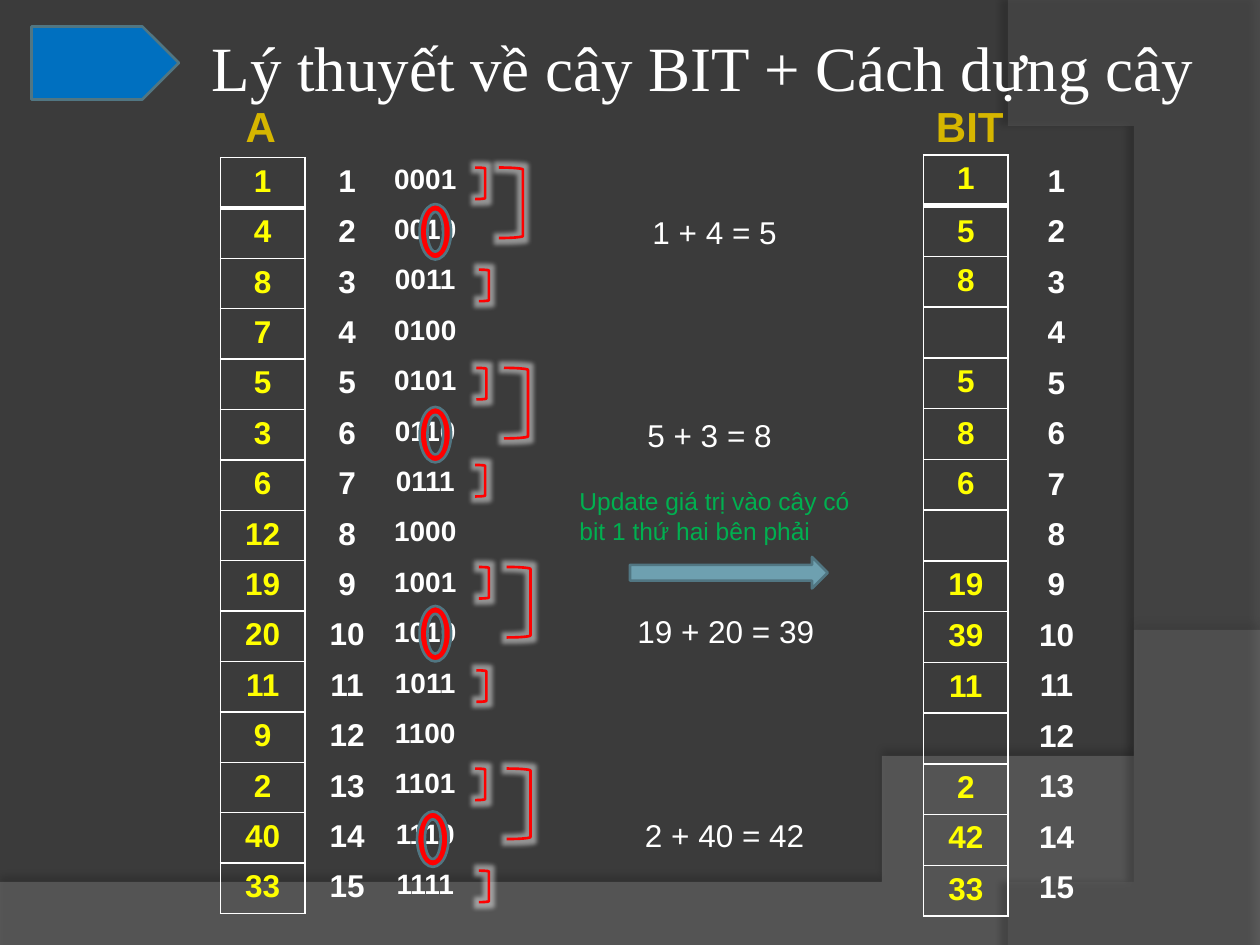
import pptx
import pptx.util
import pptx.oxml
from pptx.dml.color import RGBColor
from pptx.enum.shapes import MSO_SHAPE
from pptx.enum.text import MSO_ANCHOR, PP_ALIGN
from pptx.oxml.ns import qn
from lxml import etree

Inches, Pt = pptx.util.Inches, pptx.util.Pt

# Content
TITLE = "Lý thuyết về cây BIT + Cách dựng cây"
A = [1, 4, 8, 7, 5, 3, 6, 12, 19, 20, 11, 9, 2, 40, 33]
N = len(A)
INDEXES = list(range(1, N + 1))
BINARY = [f"{i:04b}" for i in INDEXES]
BIT_ODD = [a if i % 2 else "" for i, a in zip(INDEXES, A)]
BIT_PAIRS = [A[i - 2] + A[i - 1] if i % 4 == 2 else "" for i in INDEXES]

C = {"bg": "3B3B3B", "wave": "7F7F7F", "arc": "5E5E5E", "tag": "0070C0",
     "edge": "517682", "white": "FFFFFF", "value": "FFFF00", "mark": "FF0000",
     "arrow": "6EA0B0", "note": "00B050", "gold": "D6B600"}
ROW_H, TOP = 0.4, 1.25
NO_GRID = "{2D5ABB26-0587-4C30-8999-92F81FD0307C}"

# left, top, width, values, size, colour, bordered
TABLES = [
    (1.75, TOP, 0.67, A, 18, "value", True),
    (7.33, 1.23, 0.67, BIT_ODD, 18, "value", True),
    (2.42, TOP, 0.67, INDEXES, 18, "white", False),
    (3, TOP, 0.75, BINARY, 16, "white", False),
    (8.05, TOP, 0.67, INDEXES, 18, "white", False),
    (7.33, TOP, 0.67, BIT_PAIRS, 18, "value", False),
]
RINGS = [(3.33, 1.62), (3.33, 3.23), (3.33, 4.81), (3.31, 6.44)]
SMALL_BRACKETS = [(3.77, 1.33), (3.8, 2.14), (3.78, 2.92), (3.77, 3.69),
                  (3.8, 4.5), (3.78, 5.32), (3.77, 6.1), (3.8, 6.91)]
LARGE_BRACKETS = [(3.96, 1.33), (4, 2.92), (4.02, 4.5), (4.02, 6.1)]
# left, top, width, height, text, size, colour, bold, wrap
TEXTS = [
    (5.08, 1.64, 1.2, 0.4, "1 + 4 = 5", 18, "white", False, False),
    (5.04, 3.25, 1.2, 0.4, "5 + 3 = 8", 18, "white", False, False),
    (4.96, 4.81, 1.62, 0.4, "19 + 20 = 39", 18, "white", False, False),
    (5.02, 6.43, 1.48, 0.4, "2 + 40 = 42", 18, "white", False, False),
    (4.5, 3.81, 2.58, 0.57, "Update giá trị vào cây có bit 1 thứ hai bên phải",
     14, "note", False, True),
    (1.85, 0.75, 0.48, 0.5, "A", 24, "gold", True, True),
    (7.33, 0.75, 0.75, 0.5, "BIT", 24, "gold", True, True),
]


def rgb(name):
    return RGBColor.from_string(C[name])


def add_run(p, text, size, color, bold=False, font="Arial"):
    r = p.add_run()
    r.text = str(text)
    r.font.size, r.font.name, r.font.bold = Pt(size), font, bold
    r.font.color.rgb = rgb(color)


def sub(parent, tag, **attrs):
    return etree.SubElement(parent, qn(tag), {k: str(v) for k, v in attrs.items()})


def add_effect(sp, tag, color, alpha, **attrs):
    spPr = sp.element.spPr
    for old in spPr.findall(qn("a:effectLst")):
        spPr.remove(old)
    effect = sub(sub(spPr, "a:effectLst"), tag, **attrs)
    sub(sub(effect, "a:srgbClr", val=color), "a:alpha", val=alpha * 1000)


def bezier(p0, p1, p2, p3, steps=40):
    for k in range(1, steps + 1):
        t = k / steps
        u = 1 - t
        yield tuple(u**3 * a + 3 * u * u * t * b + 3 * u * t * t * c + t**3 * d
                    for a, b, c, d in zip(p0, p1, p2, p3))


def add_backdrop(s, points, color, alpha, shade, blur, dist, angle):
    builder = s.shapes.build_freeform(*points[0], scale=Inches(1))
    builder.add_line_segments(points[1:], close=True)
    sp = builder.convert_to_shape()
    sp.fill.solid()
    sp.fill.fore_color.rgb = rgb(color)
    sub(sp.element.spPr.find(".//" + qn("a:srgbClr")), "a:alpha", val=alpha * 1000)
    sp.line.fill.background()
    add_effect(sp, "a:outerShdw", "000000", shade, blurRad=Pt(blur),
               dist=Pt(dist), dir=angle * 60000, rotWithShape=0)


def add_shape(s, kind, x, y, w, h, fill, line):
    sp = s.shapes.add_shape(kind, Inches(x), Inches(y), Inches(w), Inches(h))
    sp.shadow.inherit = False
    if fill:
        sp.fill.solid()
        sp.fill.fore_color.rgb = rgb(fill)
    else:
        sp.fill.background()
    sp.line.color.rgb = rgb(line)
    sp.line.width = Pt(1.5)
    return sp


def add_border(cell, side, width):
    ln = sub(cell._tc.get_or_add_tcPr(), "a:ln" + side, w=Pt(width))
    sub(sub(ln, "a:solidFill"), "a:srgbClr", val=C["white"])


def add_column(s, x, y, w, values, size, color, bordered):
    table = s.shapes.add_table(N, 1, Inches(x), Inches(y), Inches(w),
                               Inches(N * ROW_H)).table
    table.first_row = table.horz_banding = False
    table._tbl.tblPr.find(qn("a:tableStyleId")).text = NO_GRID
    for i, value in enumerate(values):
        cell = table.cell(i, 0)
        if bordered:
            for side, width in (("L", 1), ("R", 1), ("T", 3 if i == 1 else 1),
                                ("B", 3 if i == 0 else 1)):
                add_border(cell, side, width)
        cell.fill.background()
        p = cell.text_frame.paragraphs[0]
        p.alignment = PP_ALIGN.CENTER
        if value != "":
            add_run(p, value, size, color, bold=True)


def add_text(s, x, y, w, h, text, size, color, bold, wrap):
    tf = s.shapes.add_textbox(Inches(x), Inches(y), Inches(w), Inches(h)).text_frame
    tf.word_wrap = wrap
    add_run(tf.paragraphs[0], text, size, color, bold)


def main():
    prs = pptx.Presentation()
    prs.slide_width, prs.slide_height = Inches(10), Inches(7.5)
    s = prs.slides.add_slide(prs.slide_layouts[5])
    s.background.fill.solid()
    s.background.fill.fore_color.rgb = rgb("bg")

    # Backdrop curves
    wave = [(0, 7.05), (0, 7.5), (10, 7.5), (10, 5.2),
            *bezier((10, 5.2), (5.59, 7.29), (3.91, 7.19), (0, 7.05))]
    arc = [(10, 0.02), (10, 7.5), (8.21, 7.5),
           *bezier((8.21, 7.5), (9.35, 6.19), (10.18, 3), (8, 0))]
    add_backdrop(s, wave, "wave", 45, 35, 4, 3.5, 270)
    add_backdrop(s, arc, "arc", 40, 45, 4, 4, 180)

    # Title with its tag, in front of the backdrop
    add_shape(s, MSO_SHAPE.PENTAGON, 0.25, 0.21, 1.17, 0.58, "tag", "edge")
    title = s.shapes.title
    title.element.getparent().append(title.element)
    title.left, title.top = Inches(1.58), Inches(0.17)
    title.width, title.height = Inches(8.5), Inches(0.71)
    tf = title.text_frame
    tf.word_wrap, tf.vertical_anchor = True, MSO_ANCHOR.MIDDLE
    p = tf.paragraphs[0]
    p.alignment = PP_ALIGN.LEFT
    add_run(p, TITLE, 36, "white", font="Times New Roman")

    # Array, index and binary columns
    for column in TABLES[:4]:
        add_column(s, *column)

    # Rings on the second 1 bit, brackets over the ranges
    for x, y in RINGS:
        add_shape(s, MSO_SHAPE.DONUT, x, y, 0.25, 0.44, "mark", "edge")
    for places, w, h in ((SMALL_BRACKETS, 0.08, 0.25), (LARGE_BRACKETS, 0.19, 0.56)):
        for x, y in places:
            sp = add_shape(s, MSO_SHAPE.RIGHT_BRACKET, x, y, w, h, None, "mark")
            add_effect(sp, "a:glow", C["white"], 45, rad=Pt(5))

    # Update arrow, sums and headings
    arrow = add_shape(s, MSO_SHAPE.DOWN_ARROW, 5.66, 3.76, 0.25, 1.57, "arrow", "edge")
    arrow.rotation = 270
    for text in TEXTS:
        add_text(s, *text)

    # Right index column and pair sums
    for column in TABLES[4:]:
        add_column(s, *column)

    prs.save("out.pptx")


if __name__ == "__main__":
    main()
